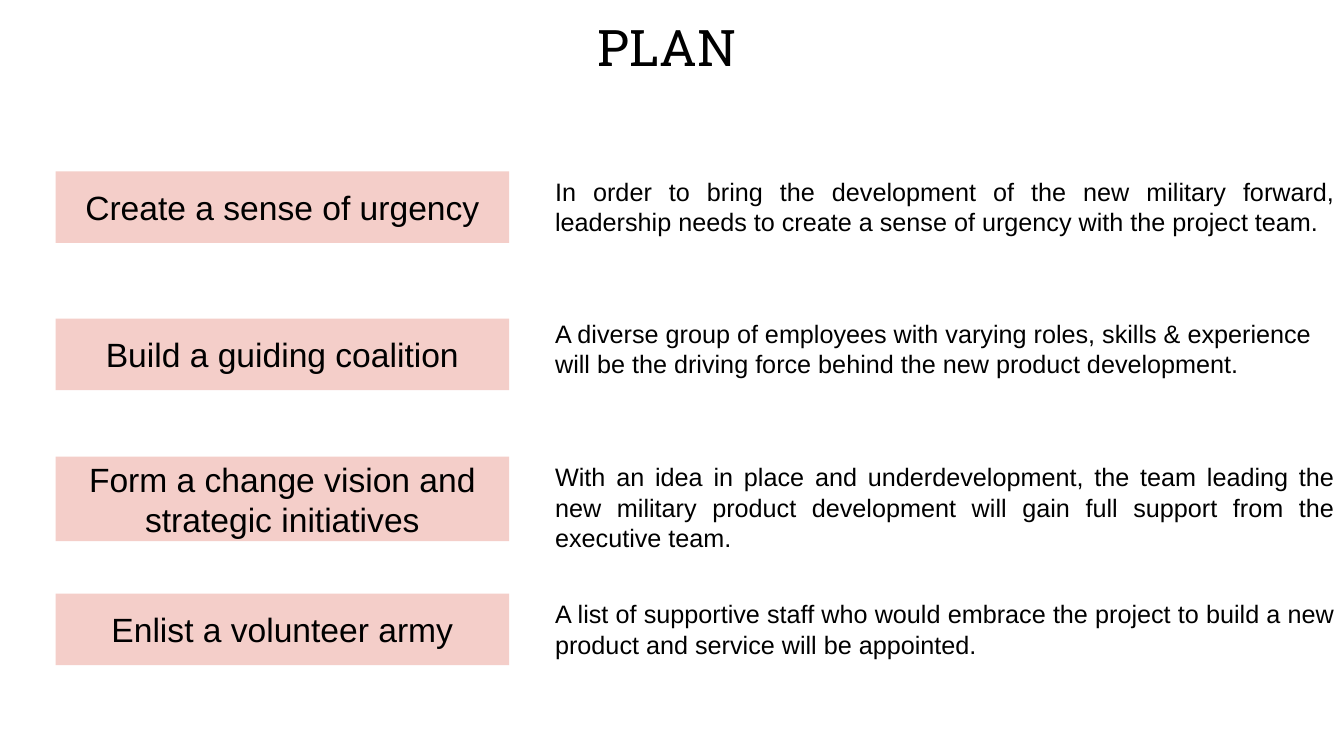
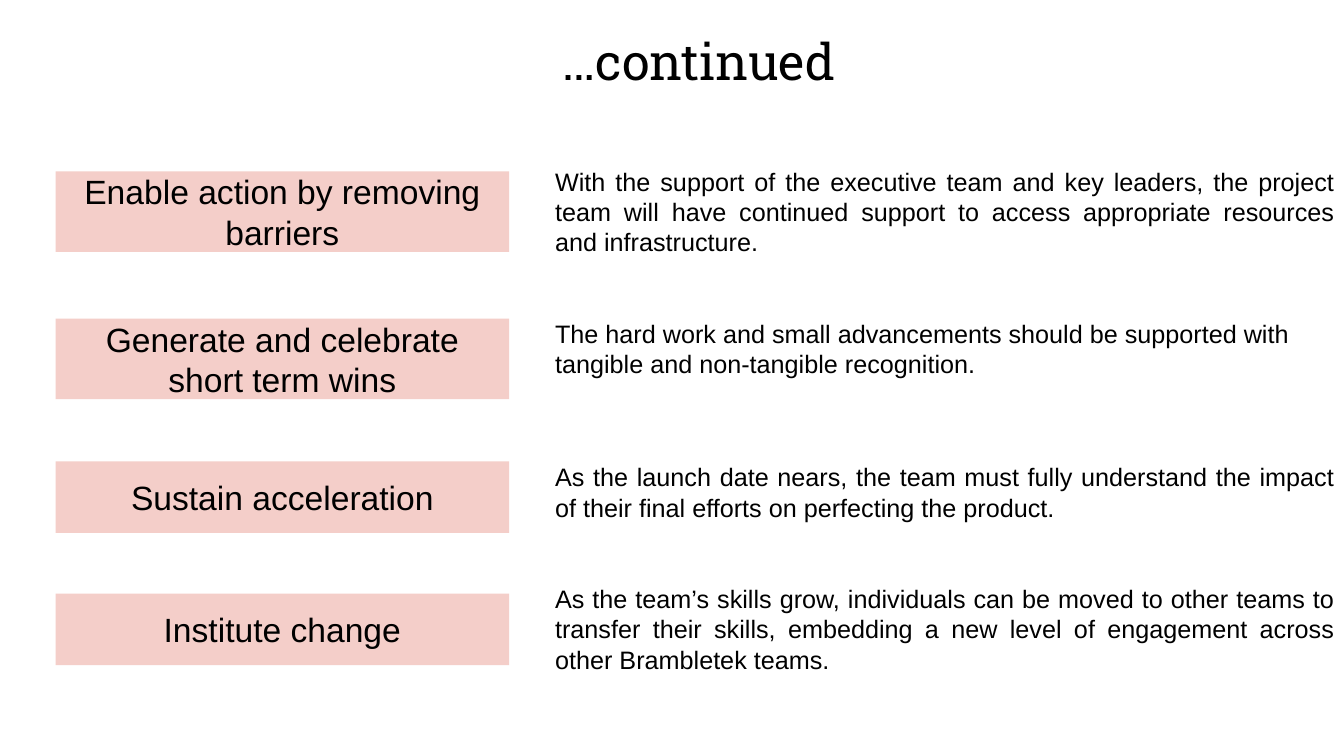
"""Build two slides that pair each change step with its explanation."""
from pptx import Presentation
from pptx.dml.color import RGBColor
from pptx.enum.shapes import MSO_SHAPE
from pptx.enum.text import MSO_ANCHOR, MSO_AUTO_SIZE, PP_ALIGN
from pptx.util import Cm, Pt

BLACK = RGBColor(0x00, 0x00, 0x00)
PINK = RGBColor(0xF4, 0xCE, 0xC9)

TITLE_FORMAT = {"name": "Roboto Slab", "size": Pt(36), "bold": False}
LABEL_FORMAT = {"name": "Arial", "size": Pt(24)}
BODY_FORMAT = {"name": "Arial", "size": Pt(18)}

LABEL_LEFT, LABEL_WIDTH = 1.4, 11.43
BODY_LEFT, BODY_WIDTH, BODY_WIDTH_RAGGED = 13.74, 20.14, 19.84
ROW_HEIGHT, TITLE_HEIGHT = 1.8, 1.8
RAGGED_ROW = 1

SLIDES = [
    {
        "title": "PLAN",
        "title_box": (14.81, 0.28, 4.27),
        "steps": [
            ("Create a sense of urgency", 4.32, 1.8, 4.32,
             "In order to bring the development of the new military forward, leadership "
             "needs to create a sense of urgency with the project team."),
            ("Build a guiding coalition", 8.03, 1.8, 7.9,
             "A diverse group of employees with varying roles, skills & experience will be "
             "the driving force behind the new product development."),
            ("Form a change vision and strategic initiatives", 11.51, 2.13, 11.51,
             "With an idea in place and underdevelopment, the team leading the new military "
             "product development will gain full support from the executive team."),
            ("Enlist a volunteer army", 14.96, 1.8, 14.96,
             "A list of supportive staff who would embrace the project to build a new "
             "product and service will be appointed."),
        ],
    },
    {
        "title": "…continued",
        "title_box": (13.92, 0.64, 9.4),
        "steps": [
            ("Enable action by removing barriers", 4.32, 2.03, 4.06,
             "With the support of the executive team and key leaders, the project team will "
             "have continued support to access appropriate resources and infrastructure."),
            ("Generate and celebrate short term wins", 8.03, 2.03, 7.9,
             "The hard work and small advancements should be supported with tangible and "
             "non-tangible recognition."),
            ("Sustain acceleration", 11.63, 1.8, 11.51,
             "As the launch date nears, the team must fully understand the impact of their "
             "final efforts on perfecting the product."),
            ("Institute change", 14.96, 1.8, 14.58,
             "As the team’s skills grow, individuals can be moved to other teams to transfer "
             "their skills, embedding a new level of engagement across other Brambletek teams."),
        ],
    },
]


def write_text(shape, text, font_format, alignment, anchor=MSO_ANCHOR.TOP):
    frame = shape.text_frame
    frame.text = text
    frame.word_wrap = True
    frame.auto_size = MSO_AUTO_SIZE.NONE
    frame.vertical_anchor = anchor
    paragraph = frame.paragraphs[0]
    paragraph.alignment = alignment
    font = paragraph.runs[0].font
    for name, value in font_format.items():
        setattr(font, name, value)
    font.color.rgb = BLACK


def add_title(slide, text, box):
    title = slide.shapes.title
    left, top, width = box
    title.left, title.top = Cm(left), Cm(top)
    title.width, title.height = Cm(width), Cm(TITLE_HEIGHT)
    write_text(title, text, TITLE_FORMAT, PP_ALIGN.LEFT)


def add_label(slide, text, top, height):
    label = slide.shapes.add_shape(
        MSO_SHAPE.RECTANGLE, Cm(LABEL_LEFT), Cm(top), Cm(LABEL_WIDTH), Cm(height))
    label.shadow.inherit = False
    label.fill.solid()
    label.fill.fore_color.rgb = PINK
    label.line.fill.background()
    write_text(label, text, LABEL_FORMAT, PP_ALIGN.CENTER, MSO_ANCHOR.MIDDLE)


def add_body(slide, text, top, ragged):
    width = BODY_WIDTH_RAGGED if ragged else BODY_WIDTH
    body = slide.shapes.add_textbox(Cm(BODY_LEFT), Cm(top), Cm(width), Cm(ROW_HEIGHT))
    write_text(body, text, BODY_FORMAT, PP_ALIGN.LEFT if ragged else PP_ALIGN.JUSTIFY)


def main():
    presentation = Presentation()
    presentation.slide_width, presentation.slide_height = Cm(33.87), Cm(19.05)
    title_only = presentation.slide_layouts[5]
    for content in SLIDES:
        slide = presentation.slides.add_slide(title_only)
        add_title(slide, content["title"], content["title_box"])
        for row, (label, label_top, label_height, body_top, body) in enumerate(content["steps"]):
            add_label(slide, label, label_top, label_height)
            add_body(slide, body, body_top, row == RAGGED_ROW)
    presentation.save("out.pptx")


if __name__ == "__main__":
    main()
